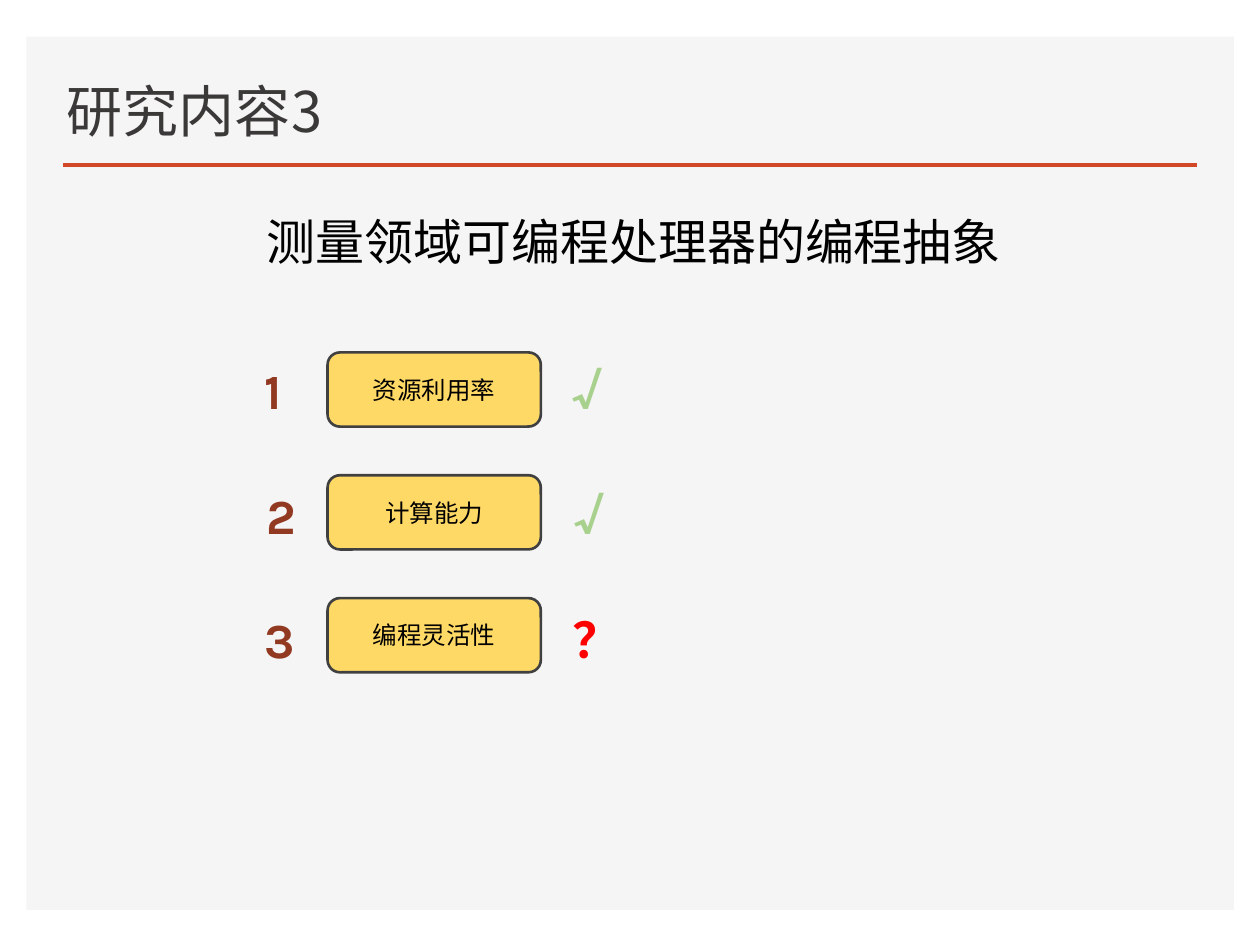
from lxml.etree import SubElement
from pptx import Presentation
from pptx.dml.color import RGBColor
from pptx.enum.shapes import MSO_CONNECTOR as Connector, MSO_SHAPE as Shape
from pptx.enum.text import MSO_ANCHOR as Anchor, MSO_AUTO_SIZE as AutoSize, PP_ALIGN as Align
from pptx.oxml.ns import qn
from pptx.util import Pt

TITLE = "研究内容3"
HEADING = "测量领域可编程处理器的编程抽象"
GREEN, RED = "A9D18E", "FF0000"
GOALS = [
    ("资源利用率", "√", GREEN),
    ("计算能力", "√", GREEN),
    ("编程灵活性", "？", RED),
]
TITLE_FONT, BODY_FONT = "Noto Sans CJK SC", "Karla"
BOX_TOP, BOX_STEP = 201.4, 70.2
MARK_TOP, MARK_STEP = 202.3, 71.3


def color(value):
    return RGBColor.from_string(value)


def write(shape, text, size, text_color, font_name=BODY_FONT, bold=False, align=Align.LEFT):
    paragraph = shape.text_frame.paragraphs[0]
    paragraph.alignment = align
    run = paragraph.add_run()
    run.text = text
    font = run.font
    font.name, font.size, font.bold = font_name, Pt(size), bold
    font.color.rgb = color(text_color)
    SubElement(run._r.get_or_add_rPr(), qn("a:ea"), typeface=font_name)


def add_shape(slide, kind, left, top, width, height, fill):
    shape = slide.shapes.add_shape(kind, Pt(left), Pt(top), Pt(width), Pt(height))
    shape.shadow.inherit = False
    shape.fill.solid()
    shape.fill.fore_color.rgb = color(fill)
    return shape


def add_text(slide, text, left, top, width, height, text_color, bold=True, wrap=False):
    box = slide.shapes.add_textbox(Pt(left), Pt(top), Pt(width), Pt(height))
    box.text_frame.word_wrap = wrap
    box.text_frame.auto_size = AutoSize.SHAPE_TO_FIT_TEXT
    write(box, text, 28, text_color, bold=bold)


def add_title(slide):
    title = slide.shapes.title
    title.left, title.top, title.width, title.height = Pt(31), Pt(35.3), Pt(680.4), Pt(50.4)
    title.text_frame.vertical_anchor = Anchor.BOTTOM
    title.text_frame.auto_size = AutoSize.NONE
    write(title, TITLE, 32, "3B3838", TITLE_FONT)

    panel = add_shape(slide, Shape.RECTANGLE, 15.1, 21, 690, 499, "F5F5F5")
    panel.line.fill.background()
    title.element.addprevious(panel.element)

    rule = slide.shapes.add_connector(Connector.STRAIGHT, Pt(36), Pt(94.3), Pt(684), Pt(94.3))
    rule.line.color.rgb = color("D24726")
    rule.line.width = Pt(2)
    SubElement(rule.element.spPr, qn("a:effectLst"))


def add_goal(slide, index, label, mark, mark_color):
    box = add_shape(slide, Shape.ROUNDED_RECTANGLE, 187.2, BOX_TOP + index * BOX_STEP,
                    121.9, 42.4, "FFD966")
    box.line.color.rgb = color("404040")
    box.line.width = Pt(1.5)
    box.text_frame.vertical_anchor = Anchor.MIDDLE
    write(box, label, 14, "000000", align=Align.CENTER)

    top = MARK_TOP + index * MARK_STEP
    shift = 1.2 * (index % 2)
    add_text(slide, str(index + 1), 144 + shift, top, 31, 41.2, "923922")
    add_text(slide, mark, 320.2 + shift, top, 42.5 if mark == "？" else 33, 41.2, mark_color)


def main():
    presentation = Presentation()
    presentation.slide_width, presentation.slide_height = Pt(720), Pt(540)
    slide = presentation.slides.add_slide(presentation.slide_layouts[5])
    add_title(slide)
    add_text(slide, HEADING, 145.4, 117.4, 499, 74.9, "000000", bold=False, wrap=True)
    for index, goal in enumerate(GOALS):
        add_goal(slide, index, *goal)
    presentation.save("out.pptx")


if __name__ == "__main__":
    main()
